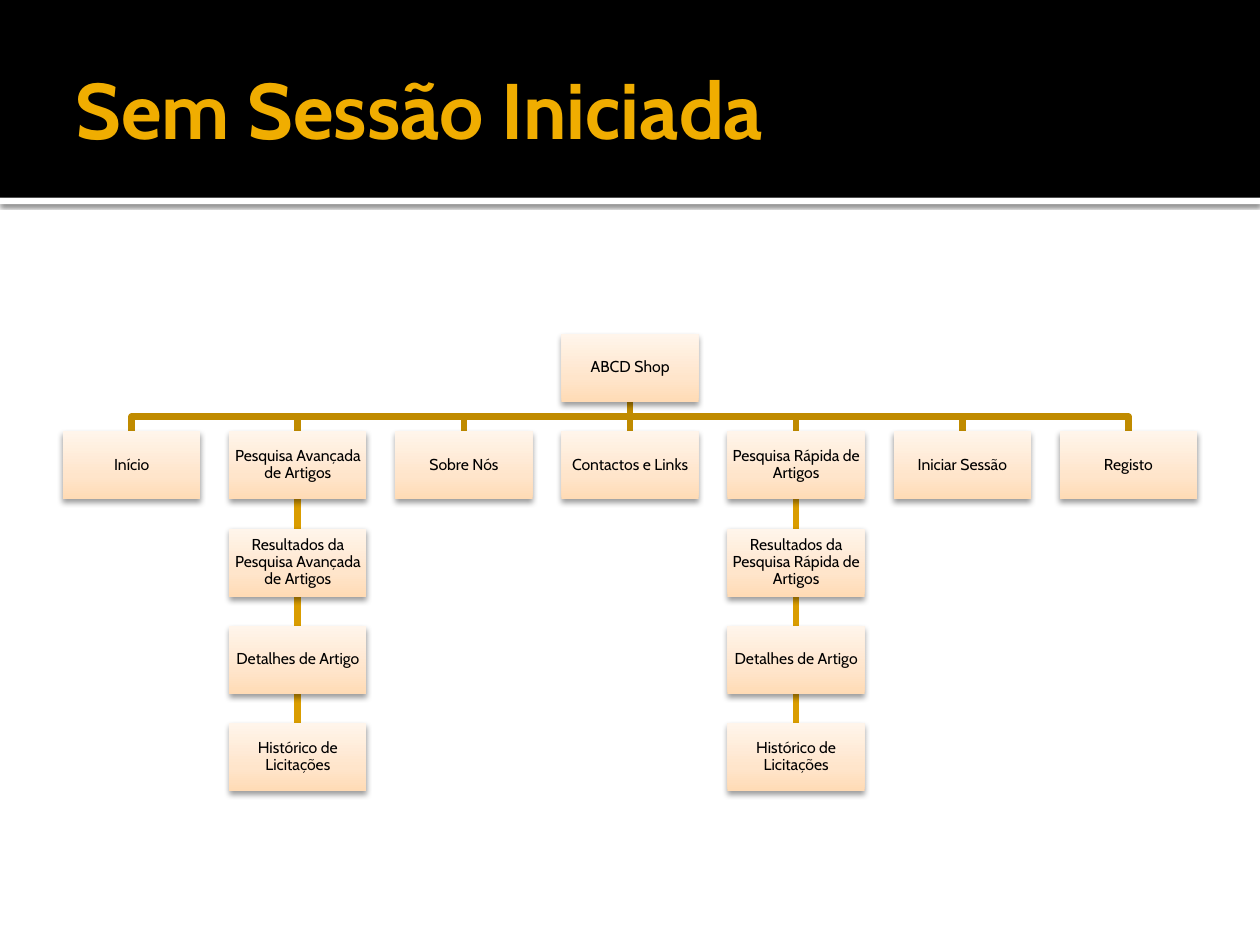
from lxml.etree import SubElement
from pptx import Presentation
from pptx.dml.color import RGBColor
from pptx.enum.shapes import MSO_CONNECTOR, MSO_SHAPE
from pptx.enum.text import MSO_ANCHOR, PP_ALIGN
from pptx.oxml.ns import qn
from pptx.util import Inches, Pt

COLORS = {
    "band": "000000",
    "rule": "FFFFFF",
    "title": "F0AD00",
    "text": "000000",
    "shadow": "000000",
    "branch": "C08B00",
    "chain": "DA9D00",
}
BOX_STOPS = [(0, "FFDBB5"), (35, "FFE5CB"), (100, "FFF5EB")]


class SiteMap:
    """Style, grid and current slide of a site map, in inches."""

    font = "Cabin"
    columns, rows = 7, 5
    left, top, width, height = 0.5, 2.65, 9, 3.63
    box_width, box_height = 1.09, 0.54
    line_width = 3.78

    def __init__(self, page):
        self.shapes = page.shapes
        self.column_step = (self.width - self.box_width) / (self.columns - 1)
        self.row_step = (self.height - self.box_height) / (self.rows - 1)

    def corner(self, column, row):
        return self.left + column * self.column_step, self.top + row * self.row_step

    def color(self, name):
        return RGBColor.from_string(COLORS[name])

    def label(self, shape, text, size, color, bold=False):
        frame = shape.text_frame
        frame.text = text
        frame.word_wrap = True
        frame.vertical_anchor = MSO_ANCHOR.MIDDLE
        para = frame.paragraphs[0]
        font = para.runs[0].font
        font.name, font.size, font.bold = self.font, Pt(size), bold
        font.color.rgb = self.color(color)
        return frame, para

    def shadow(self, shape, alpha, blur, distance):
        shape.shadow.inherit = False
        effects = shape.element.spPr.find(qn("a:effectLst"))
        outer = SubElement(effects, qn("a:outerShdw"), blurRad=str(Pt(blur)),
                           dist=str(Pt(distance)), dir="5400000", rotWithShape="0")
        tint = SubElement(outer, qn("a:srgbClr"), val=COLORS["shadow"])
        SubElement(tint, qn("a:alpha"), val=str(alpha * 1000))

    def rectangle(self, left, top, width, height):
        shape = self.shapes.add_shape(MSO_SHAPE.RECTANGLE, Inches(left), Inches(top),
                                      Inches(width), Inches(height))
        shape.line.fill.background()
        shape.shadow.inherit = False
        return shape

    def band(self, top, height, color):
        shape = self.rectangle(0, top, 10, height)
        shape.fill.solid()
        shape.fill.fore_color.rgb = self.color(color)
        return shape

    def title(self, text):
        box = self.shapes.add_textbox(Inches(0.5), Inches(0.17), Inches(9), Inches(1.37))
        frame, _ = self.label(box, text, 45, "title", bold=True)
        frame.margin_left = Inches(0.1)
        frame.margin_right = Inches(0.05)

    def box(self, column, row, text):
        shape = self.rectangle(*self.corner(column, row), self.box_width, self.box_height)
        # Three-stop gradient, light at the top
        shape.fill.gradient()
        shape.fill.gradient_angle = 90
        stops = shape.element.spPr.find(qn("a:gradFill")).find(qn("a:gsLst"))
        for stop in list(stops):
            stops.remove(stop)
        for position, value in BOX_STOPS:
            stop = SubElement(stops, qn("a:gs"), pos=str(position * 1000))
            SubElement(stop, qn("a:srgbClr"), val=value)
        self.shadow(shape, 38, 3.5, 2)
        frame, para = self.label(shape, text, 9, "text")
        frame.margin_left = frame.margin_right = Inches(0.01)
        frame.margin_top = frame.margin_bottom = Inches(0.01)
        para.alignment = PP_ALIGN.CENTER
        para.line_spacing = 0.9

    def link(self, start, end, color):
        """Join the foot of one box to the head of another, with an elbow if needed."""
        (x1, y1), (x2, y2) = self.corner(*start), self.corner(*end)
        x1, x2 = Inches(x1 + self.box_width / 2), Inches(x2 + self.box_width / 2)
        y1, y2 = Inches(y1 + self.box_height), Inches(y2)
        straight = start[0] == end[0]
        if straight:
            line = self.shapes.add_connector(MSO_CONNECTOR.STRAIGHT, x1, y1, x2, y2)
        else:
            middle = (y1 + y2) // 2
            builder = self.shapes.build_freeform(x1, y1)
            builder.add_line_segments([(x1, middle), (x2, middle), (x2, y2)], close=False)
            line = builder.convert_to_shape()
            line.fill.background()
            line.shadow.inherit = False
        line.line.width = Pt(self.line_width)
        line.line.color.rgb = self.color(color)
        properties = line.element.spPr
        if straight:
            SubElement(properties, qn("a:effectLst"))
        else:
            SubElement(properties.find(qn("a:ln")), qn("a:round"))


ROOT = "ABCD Shop"
ROOT_COLUMN = 3
ENDING = ["Detalhes de Artigo", "Histórico de Licitações"]
BRANCHES = [
    ["Início"],
    ["Pesquisa Avançada de Artigos", "Resultados da Pesquisa Avançada de Artigos", *ENDING],
    ["Sobre Nós"],
    ["Contactos e Links"],
    ["Pesquisa Rápida de Artigos", "Resultados da Pesquisa Rápida de Artigos", *ENDING],
    ["Iniciar Sessão"],
    ["Registo"],
]


def main():
    deck = Presentation()
    deck.slide_width, deck.slide_height = Inches(10), Inches(7.5)
    site = SiteMap(deck.slides.add_slide(deck.slide_layouts[6]))

    # Header
    rule = site.band(1.57, 0.05, "rule")
    site.shadow(rule, 60, 2.5, 0.8)
    site.band(0, 1.57, "band")
    site.title("Sem Sessão Iniciada")

    # Links, behind the boxes
    for column, branch in enumerate(BRANCHES):
        for row in range(2, len(branch) + 1):
            site.link((column, row - 1), (column, row), "chain")
        site.link((ROOT_COLUMN, 0), (column, 1), "branch")

    # Boxes
    site.box(ROOT_COLUMN, 0, ROOT)
    for column, branch in enumerate(BRANCHES):
        for row, text in enumerate(branch, start=1):
            site.box(column, row, text)

    deck.save("out.pptx")


if __name__ == "__main__":
    main()
